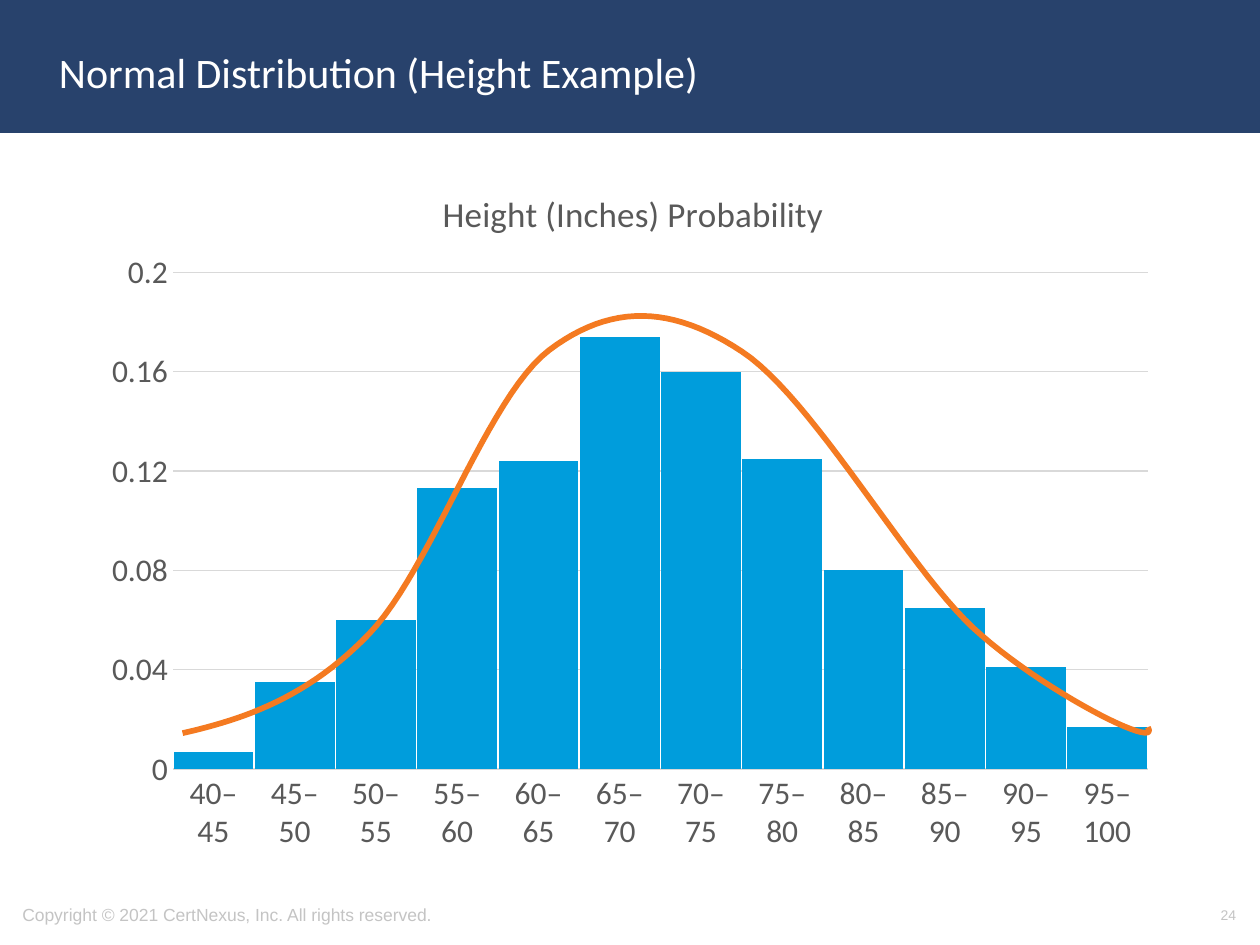
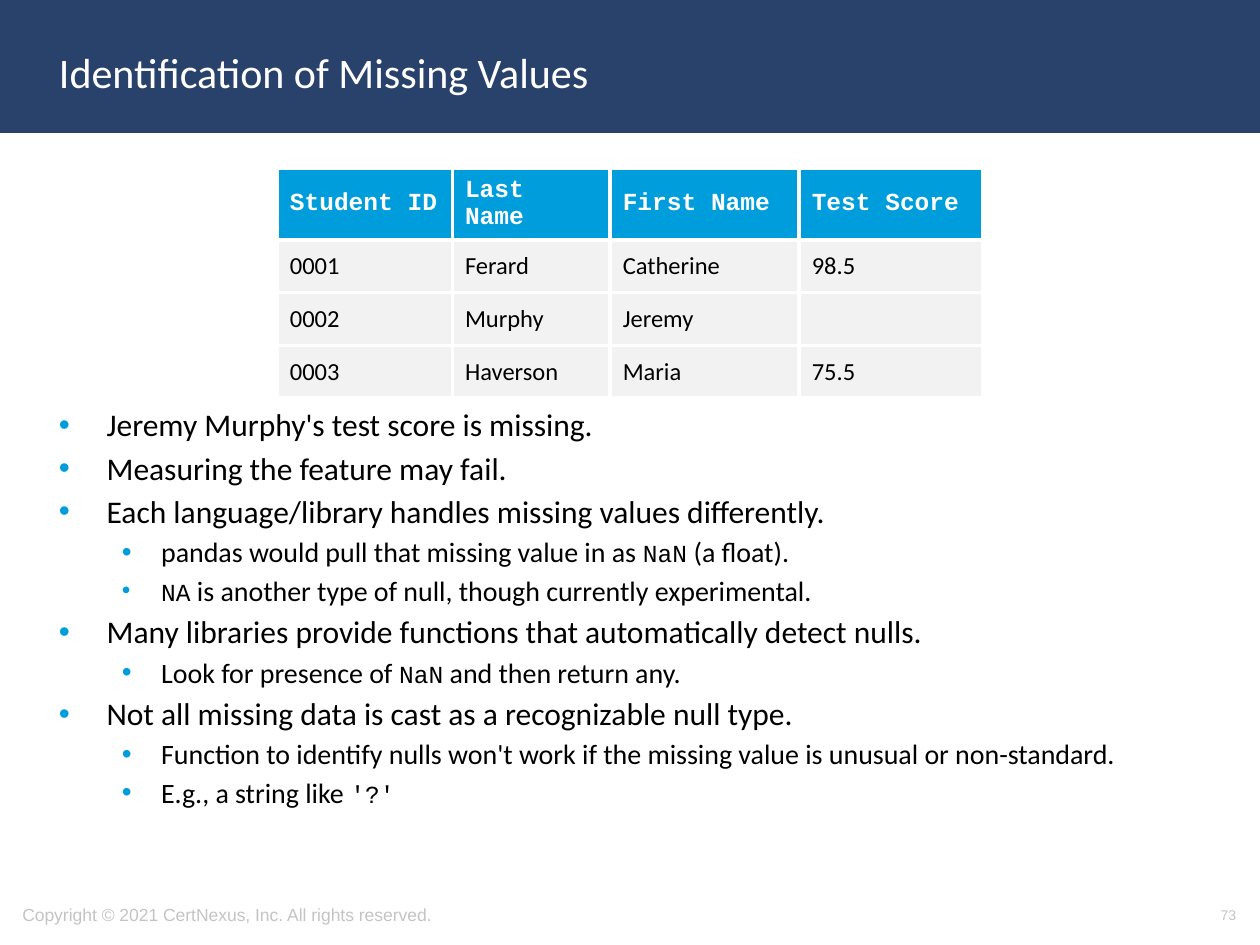
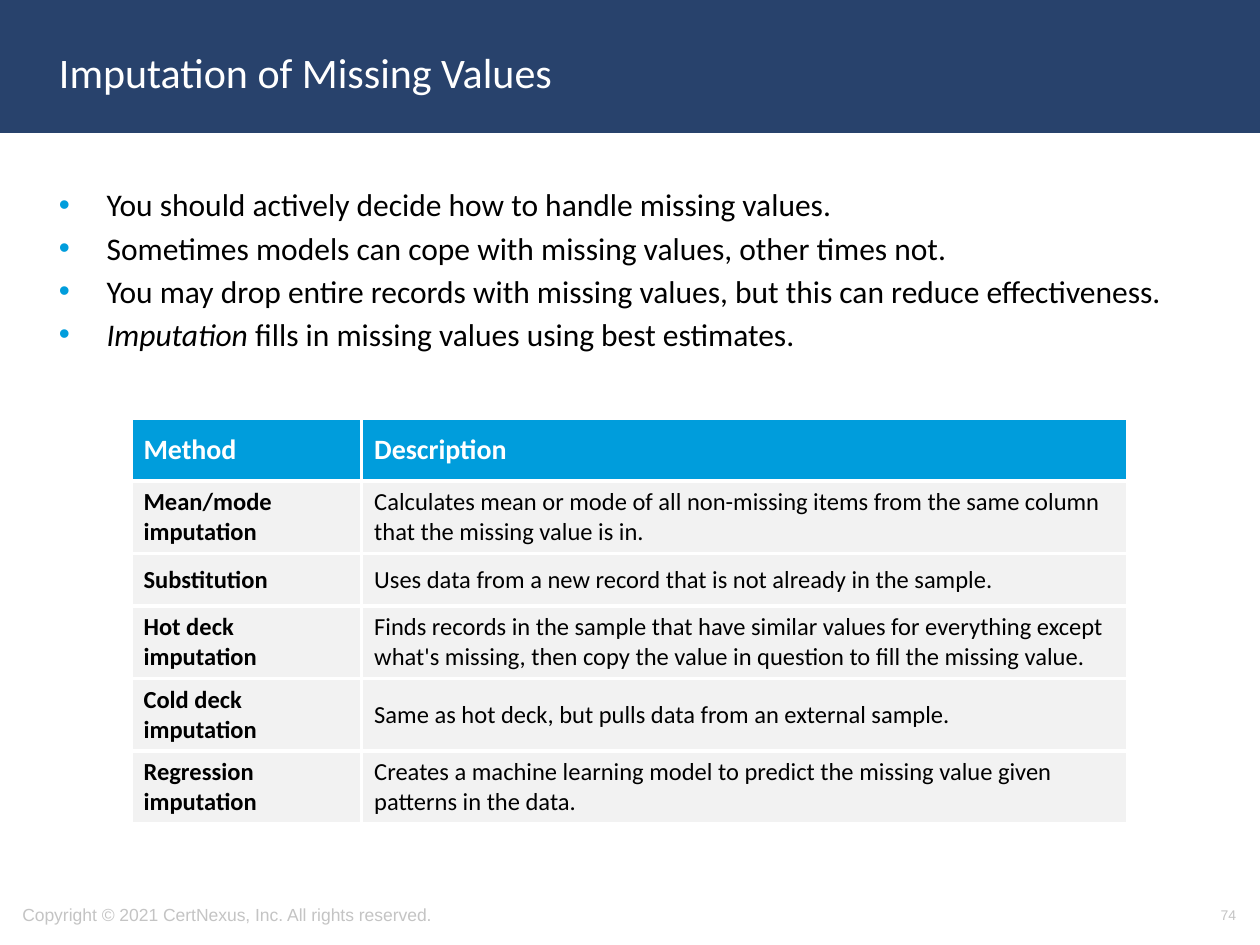
import pptx
import pptx.chart.data
import pptx.dml.color
import pptx.enum.chart
import pptx.enum.shapes
import pptx.enum.text
import pptx.oxml
import pptx.oxml.ns
import pptx.util
from pptx.dml.color import RGBColor
from pptx.util import Cm

# Shared colours and fonts
NAVY = RGBColor(0x28, 0x42, 0x6C)
BLUE = RGBColor(0x00, 0x9D, 0xDC)
ORANGE = RGBColor(0xF4, 0x7A, 0x21)
WHITE = RGBColor(0xFF, 0xFF, 0xFF)
BLACK = RGBColor(0x00, 0x00, 0x00)
PALE = RGBColor(0xF2, 0xF2, 0xF2)
RULE = RGBColor(0xD9, 0xD9, 0xD9)
CHART_TEXT = RGBColor(0x59, 0x59, 0x59)
FOOTER = RGBColor(0xC4, 0xC4, 0xC4)
BODY_FONT = "Calibri"
CODE_FONT = "Courier New"
FOOTER_FONT = "Arial"

SLIDE_WIDTH = Cm(25.4)
SLIDE_HEIGHT = Cm(19.05)
COPYRIGHT = "Copyright © 2021 CertNexus, Inc. All rights reserved."

# Bullet levels: left margin, hanging indent, text size
LEVELS = [(Cm(0.96), Cm(0.96), 18), (Cm(2.06), Cm(0.79), 16)]
CODE_SIZE = 14
SPACE_RATIO = 0.175

# Normal curve: start point, then two controls and an end point per segment (cm)
CURVE_START = (3.68, 14.78)
CURVE_SEGMENTS = [
    [(4.93, 14.5), (6.22, 14.05), (7.44, 12.78)],
    [(8.69, 11.48), (9.83, 8), (11.07, 7.06)],
    [(12.32, 6.12), (13.54, 6.15), (14.96, 7.09)],
    [(16.38, 8.03), (18.26, 11.38), (19.61, 12.65)],
    [(20.98, 13.92), (23.44, 15.16), (23.14, 14.66)],
]
CURVE_STEPS = 24


def style_font(font, size, color, name=BODY_FONT, bold=False):
    font.size = pptx.util.Pt(size)
    font.color.rgb = color
    font.name = name
    font.bold = bold


def add_xml(parent, xml):
    prefix = xml[1:].split(":")[0]
    tag_end = min(xml.index(mark) for mark in " />" if mark in xml)
    namespaces = pptx.oxml.ns.nsdecls(*{prefix, "a"})
    parent.append(pptx.oxml.parse_xml(f"{xml[:tag_end]} {namespaces}{xml[tag_end:]}"))


def add_text_box(slide, left, top, width, height, anchor=pptx.enum.text.MSO_ANCHOR.MIDDLE):
    frame = slide.shapes.add_textbox(left, top, width, height).text_frame
    frame.word_wrap = True
    frame.vertical_anchor = anchor
    return frame


def add_line(slide, text, left, top, width, height, size, color, font, align=None):
    frame = add_text_box(slide, left, top, width, height)
    frame.text = text
    paragraph = frame.paragraphs[0]
    paragraph.alignment = align
    style_font(paragraph.runs[0].font, size, color, font)


def add_base_slide(presentation, title, number):
    """Blank slide with the header band, title, copyright and page number."""
    slide = presentation.slides.add_slide(presentation.slide_layouts[6])
    band = slide.shapes.add_shape(
        pptx.enum.shapes.MSO_SHAPE.RECTANGLE, 0, 0, SLIDE_WIDTH, Cm(2.64))
    band.shadow.inherit = False
    band.fill.solid()
    band.fill.fore_color.rgb = NAVY
    band.line.color.rgb = NAVY
    band.line.width = pptx.util.Pt(2)
    add_line(slide, COPYRIGHT, Cm(0.2), Cm(17.93), Cm(13.39), Cm(1.02),
             10, FOOTER, FOOTER_FONT)
    add_line(slide, str(number), Cm(19.25), Cm(17.93), Cm(5.92), Cm(1.02),
             8, FOOTER, FOOTER_FONT, pptx.enum.text.PP_ALIGN.RIGHT)
    add_line(slide, title, Cm(0.94), Cm(0.28), Cm(21.9), Cm(2.34),
             24, WHITE, BODY_FONT)
    return slide


def add_bullets(slide, top, height, items):
    """Each item is a level and its runs; a run is text and a style name."""
    frame = add_text_box(slide, Cm(0.94), top, Cm(23.5), height,
                         pptx.enum.text.MSO_ANCHOR.TOP)
    for index, (level, runs) in enumerate(items):
        paragraph = frame.add_paragraph() if index else frame.paragraphs[0]
        margin, hanging, size = LEVELS[level]
        paragraph.level = level
        properties = paragraph._p.get_or_add_pPr()
        properties.set("marL", str(margin))
        properties.set("indent", str(-hanging))
        add_xml(properties, f'<a:buClr><a:srgbClr val="{BLUE}"/></a:buClr>')
        add_xml(properties, f'<a:buFont typeface="{FOOTER_FONT}"/>')
        add_xml(properties, '<a:buChar char="•"/>')
        if index:
            paragraph.space_before = pptx.util.Pt(size * SPACE_RATIO)
        for text, style in runs:
            run = paragraph.add_run()
            run.text = text
            if style == "code":
                style_font(run.font, CODE_SIZE, BLACK, CODE_FONT)
            else:
                style_font(run.font, size, BLACK)
                run.font.italic = style == "italic"


def style_cell(cell, fill):
    properties = cell._tc.get_or_add_tcPr()
    for side in "LRTB":
        add_xml(properties, f'<a:ln{side} w="28575"><a:solidFill>'
                            f'<a:srgbClr val="{WHITE}"/></a:solidFill></a:ln{side}>')
    cell.fill.solid()
    cell.fill.fore_color.rgb = fill
    cell.vertical_anchor = pptx.enum.text.MSO_ANCHOR.MIDDLE


def add_table(slide, left, top, widths, heights, rows,
              header_font=BODY_FONT, header_size=14, bold_first_column=False):
    table = slide.shapes.add_table(
        len(rows), len(widths), left, top, Cm(sum(widths)), Cm(sum(heights))).table
    table.first_row = False
    table.horz_banding = False
    for column, width in zip(table.columns, widths):
        column.width = Cm(width)
    for row, height in zip(table.rows, heights):
        row.height = Cm(height)
    for row_index, values in enumerate(rows):
        for column_index, value in enumerate(values):
            cell = table.cell(row_index, column_index)
            style_cell(cell, PALE if row_index else BLUE)
            cell.text_frame.text = value
            font = cell.text_frame.paragraphs[0].font
            if value:
                font = cell.text_frame.paragraphs[0].runs[0].font
            if row_index:
                style_font(font, 14, BLACK, bold=bold_first_column and column_index == 0)
            else:
                style_font(font, header_size, WHITE, header_font, True)


def set_layout(element, **places):
    """Place a chart part by fractions of the chart area."""
    for old in element.findall(pptx.oxml.ns.qn("c:layout")):
        element.remove(old)
    target = '<c:layoutTarget val="inner"/>' if "w" in places else ""
    modes = "".join(f'<c:{key}Mode val="edge"/>' for key in "xy")
    values = "".join(f'<c:{key} val="{value}"/>' for key, value in places.items())
    add_xml(element, f"<c:layout><c:manualLayout>{target}{modes}{values}"
                     "</c:manualLayout></c:layout>")
    layout = element[-1]
    text = element.find(pptx.oxml.ns.qn("c:tx"))
    element.insert(0 if text is None else 1, layout)


def add_histogram(slide, title, categories, values):
    data = pptx.chart.data.CategoryChartData()
    data.categories = categories
    data.add_series("Series 1", values)
    chart = slide.shapes.add_chart(
        pptx.enum.chart.XL_CHART_TYPE.COLUMN_CLUSTERED,
        Cm(1.83), Cm(3.12), Cm(21.77), Cm(14.3), data).chart
    style_font(chart.font, 10, BLACK)
    chart.has_legend = False
    chart.has_title = True
    chart.chart_title.text_frame.text = title
    style_font(chart.chart_title.text_frame.paragraphs[0].runs[0].font, 20, CHART_TEXT)
    set_layout(chart.chart_title._element, x=0.32, y=0.04)
    set_layout(chart._chartSpace.chart.plotArea, x=0.076, y=0.166, w=0.903, h=0.7)

    # Columns
    plot = chart.plots[0]
    plot.gap_width = 2
    plot.overlap = -27
    plot.vary_by_categories = False
    plot.series[0].format.fill.solid()
    plot.series[0].format.fill.fore_color.rgb = BLUE

    # Axes
    for axis in (chart.category_axis, chart.value_axis):
        axis.major_tick_mark = pptx.enum.chart.XL_TICK_MARK.NONE
        axis.minor_tick_mark = pptx.enum.chart.XL_TICK_MARK.NONE
        style_font(axis.tick_labels.font, 18, CHART_TEXT)
    value_axis = chart.value_axis
    value_axis.minimum_scale = 0
    value_axis.maximum_scale = 0.2
    value_axis.major_unit = 0.04
    value_axis.has_major_gridlines = True
    value_axis.format.line.fill.background()
    for line in (chart.category_axis.format.line, value_axis.major_gridlines.format.line):
        line.color.rgb = RULE
        line.width = pptx.util.Pt(0.75)


def curve_point(points, t):
    weights = ((1 - t) ** 3, 3 * t * (1 - t) ** 2, 3 * t ** 2 * (1 - t), t ** 3)
    return tuple(Cm(sum(weight * point[axis] for weight, point in zip(weights, points)))
                 for axis in (0, 1))


def add_curve(slide, start, segments):
    vertices = []
    current = start
    for segment in segments:
        points = [current] + segment
        vertices += [curve_point(points, step / CURVE_STEPS)
                     for step in range(1, CURVE_STEPS + 1)]
        current = segment[-1]
    builder = slide.shapes.build_freeform(Cm(start[0]), Cm(start[1]))
    builder.add_line_segments(vertices, close=False)
    curve = builder.convert_to_shape()
    curve.shadow.inherit = False
    curve.fill.background()
    curve.line.color.rgb = ORANGE
    curve.line.width = pptx.util.Pt(3.25)


def main():
    presentation = pptx.Presentation()
    presentation.slide_width = SLIDE_WIDTH
    presentation.slide_height = SLIDE_HEIGHT

    # Normal distribution
    slide = add_base_slide(presentation, "Normal Distribution (Height Example)", 24)
    add_histogram(
        slide, "Height (Inches) Probability",
        [f"{low}–{low + 5}" for low in range(40, 100, 5)],
        [0.007, 0.035, 0.06, 0.113, 0.124, 0.174, 0.16, 0.125, 0.08, 0.065, 0.041, 0.017])
    add_curve(slide, CURVE_START, CURVE_SEGMENTS)

    # Identification of missing values
    slide = add_base_slide(presentation, "Identification of Missing Values", 73)
    add_bullets(slide, Cm(8.05), Cm(9.22), [
        (0, [("Jeremy Murphy's test score is missing.", "")]),
        (0, [("Measuring the feature may fail.", "")]),
        (0, [("Each language/library handles missing values differently.", "")]),
        (1, [("pandas would pull that missing value in as ", ""), ("NaN", "code"),
             (" (a float).", "")]),
        (1, [("NA", "code"),
             (" is another type of null, though currently experimental.", "")]),
        (0, [("Many libraries provide functions that automatically detect nulls.", "")]),
        (1, [("Look for presence of ", ""), ("NaN", "code"),
             (" and then return any.", "")]),
        (0, [("Not all missing data is cast as a recognizable null type.", "")]),
        (1, [("Function to identify nulls won't work if the missing value is "
              "unusual or non-standard.", "")]),
        (1, [("E.g., a string like ", ""), ("'?'", "code")]),
    ])
    add_table(slide, Cm(5.59), Cm(3.4), [3.53, 3.18, 3.81, 3.71], [1.27] + [1.06] * 3, [
        ("Student ID", "Last Name", "First Name", "Test Score"),
        ("0001", "Ferard", "Catherine", "98.5"),
        ("0002", "Murphy", "Jeremy", ""),
        ("0003", "Haverson", "Maria", "75.5"),
    ], header_font=CODE_FONT)

    # Imputation of missing values
    slide = add_base_slide(presentation, "Imputation of Missing Values", 74)
    add_bullets(slide, Cm(3.61), Cm(4.5), [
        (0, [("You should actively decide how to handle missing values.", "")]),
        (0, [("Sometimes models can cope with missing values, other times not.", "")]),
        (0, [("You may drop entire records with missing values, but this can "
              "reduce effectiveness.", "")]),
        (0, [("Imputation", "italic"),
             (" fills in missing values using best estimates.", "")]),
    ])
    add_table(slide, Cm(2.64), Cm(8.43), [4.65, 15.44],
              [1.27, 1.46, 1.06, 1.46, 1.46, 1.46], [
        ("Method", "Description"),
        ("Mean/mode imputation",
         "Calculates mean or mode of all non-missing items from the same column "
         "that the missing value is in."),
        ("Substitution",
         "Uses data from a new record that is not already in the sample."),
        ("Hot deck imputation",
         "Finds records in the sample that have similar values for everything except "
         "what's missing, then copy the value in question to fill the missing value."),
        ("Cold deck imputation",
         "Same as hot deck, but pulls data from an external sample."),
        ("Regression imputation",
         "Creates a machine learning model to predict the missing value given "
         "patterns in the data."),
    ], header_size=16, bold_first_column=True)

    presentation.save("out.pptx")


if __name__ == "__main__":
    main()
